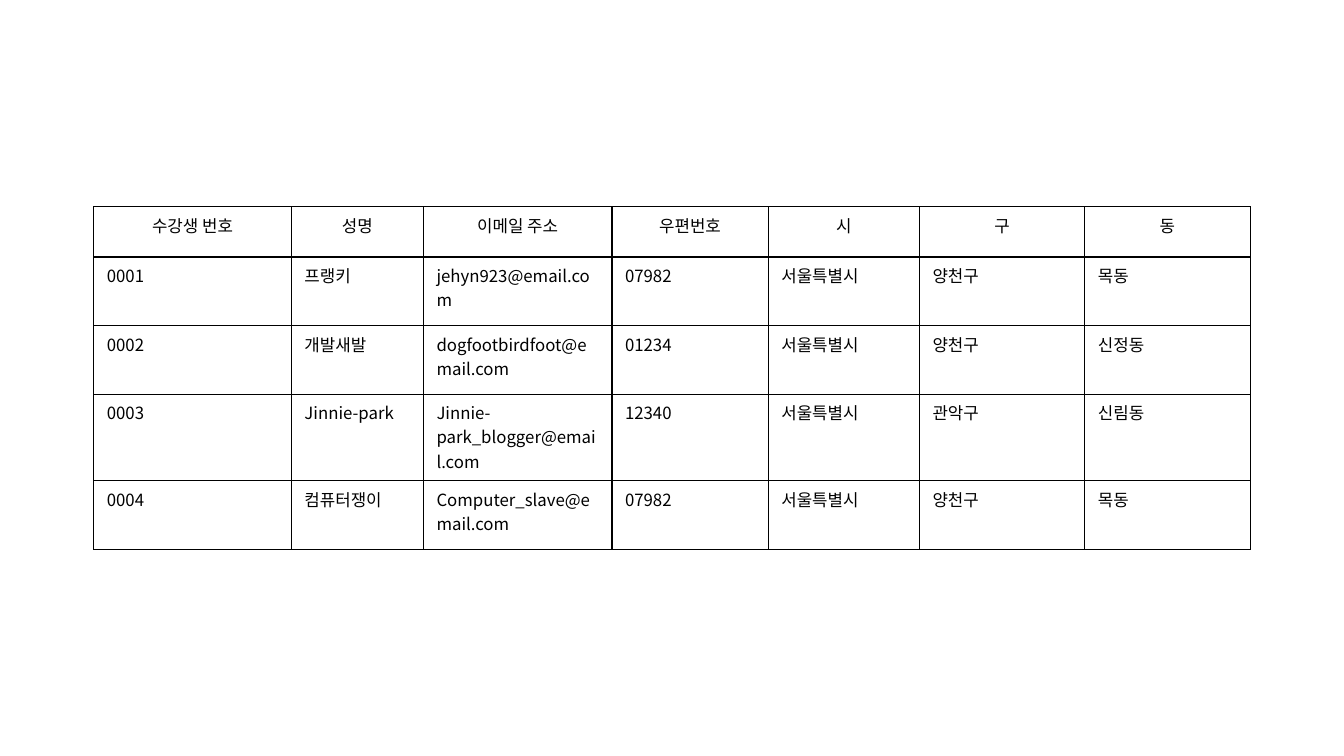
from dataclasses import dataclass

from lxml.etree import SubElement as Sub
from pptx import Presentation
from pptx.dml.color import RGBColor as Rgb
from pptx.enum.text import PP_ALIGN as Align
from pptx.oxml.ns import qn
from pptx.util import Emu, Pt

SCALE = 9144  # 100 px to the inch


@dataclass(frozen=True)
class Theme:
    font: str = "Noto Sans CJK KR"
    size: int = 12
    ink: str = "000000"
    line: int = 1


THEME = Theme()

COLS = [196, 131, 187, 155, 150, 164, 164]
ROWS = [50, 68, 68, 86, 68]
HEAD = ["수강생 번호", "성명", "이메일 주소", "우편번호", "시", "구", "동"]
CITY = "서울특별시"
PEOPLE = [
    ["0001", "프랭키", "jehyn923@email.com", "07982", CITY, "양천구", "목동"],
    ["0002", "개발새발", "dogfootbirdfoot@email.com", "01234", CITY, "양천구", "신정동"],
    ["0003", "Jinnie-park", "Jinnie-park_blogger@email.com", "12340", CITY, "관악구", "신림동"],
    ["0004", "컴퓨터쟁이", "Computer_slave@email.com", "07982", CITY, "양천구", "목동"],
]


def px(n):
    return Emu(n * SCALE)


def write(frame, text, align=Align.LEFT, size=THEME.size, color=THEME.ink):
    para = frame.paragraphs[0]
    para.alignment = align
    run = para.add_run()
    run.text = text
    font = run.font
    font.name, font.size, font.bold = THEME.font, Pt(size), False
    font.color.rgb = Rgb.from_string(color)
    # Korean glyphs use the East Asian typeface
    Sub(run._r.get_or_add_rPr(), qn("a:ea"), typeface=THEME.font)


def border(cell):
    props = cell._tc.get_or_add_tcPr()
    for side in ("lnL", "lnR", "lnT", "lnB"):
        line = Sub(props, qn(f"a:{side}"), w=str(Pt(THEME.line)))
        fill = Sub(line, qn("a:solidFill"))
        Sub(fill, qn("a:srgbClr"), val=THEME.ink)


def style(cell):
    cell.margin_left = cell.margin_right = px(13)
    cell.margin_top = cell.margin_bottom = px(6)
    border(cell)
    cell.fill.background()


def grid(slide, left, top, data):
    frame = slide.shapes.add_table(len(ROWS), len(COLS), px(left), px(top),
                                   px(sum(COLS)), px(sum(ROWS)))
    table = frame.table
    table.first_row = table.horz_banding = False
    for col, width in zip(table.columns, COLS):
        col.width = px(width)
    for row, height in zip(table.rows, ROWS):
        row.height = px(height)
    for r, texts in enumerate(data):
        for c, text in enumerate(texts):
            cell = table.cell(r, c)
            style(cell)
            write(cell.text_frame, text,
                  align=Align.LEFT if r else Align.CENTER)


def main():
    deck = Presentation()
    deck.slide_width, deck.slide_height = px(1333), px(750)
    slide = deck.slides.add_slide(deck.slide_layouts[6])
    # Student address table
    grid(slide, 93, 205, [HEAD, *PEOPLE])
    deck.save("out.pptx")


if __name__ == "__main__":
    main()
